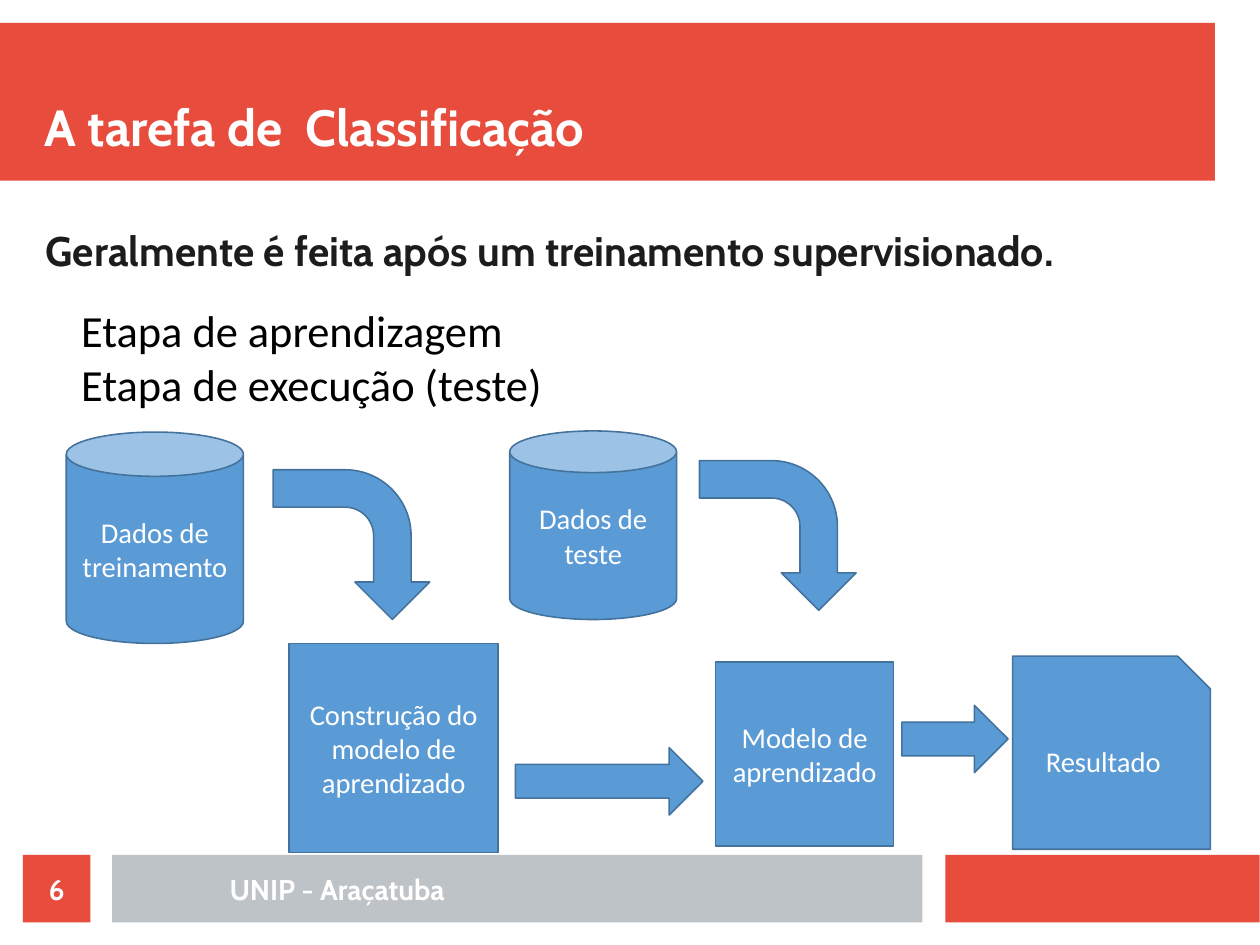
"""Build the slide that explains the classification task as a flow of stages."""
from dataclasses import dataclass

from lxml.etree import SubElement
from pptx import Presentation
from pptx.dml.color import RGBColor
from pptx.enum.shapes import MSO_SHAPE as Preset
from pptx.enum.text import MSO_ANCHOR as Anchor, MSO_AUTO_SIZE as AutoSize, PP_ALIGN as Align
from pptx.oxml.ns import qn
from pptx.util import Inches, Pt


@dataclass(frozen=True)
class Theme:
    red: str = "E74C3C"
    grey: str = "BDC3C7"
    blue: str = "5B9BD5"
    outline: str = "43729D"
    white: str = "FFFFFF"
    ink: str = "1C1C1C"
    black: str = "000000"
    heading_font: str = "Cabin"
    text_font: str = "Calibri"
    title_size: float = 32
    lead_size: float = 26
    stage_size: float = 28
    label_size: float = 18


@dataclass(frozen=True)
class Block:
    preset: Preset
    left: float
    top: float
    width: float
    height: float
    label: str = ""
    adjustments: tuple = ()
    rotation: float = 0
    fill: str = Theme.blue
    outline: str = Theme.outline


THEME = Theme()
MM_PER_INCH = 25.4
BEND = (0.25, 0.25, 0.25, 0.44)
FOOTER_TOP, FOOTER_HEIGHT = 7.48, 0.59


def band(left: float, top: float, width: float, height: float, fill: str) -> Block:
    return Block(Preset.RECTANGLE, left, top, width, height, fill=fill, outline="")


BANDS = (
    band(0, 0.2, 10.63, 1.38, THEME.red),
    band(8.27, FOOTER_TOP, 2.75, FOOTER_HEIGHT, THEME.red),
    band(0.98, FOOTER_TOP, 7.09, FOOTER_HEIGHT, THEME.grey),
)
FLOW = (
    Block(Preset.RECTANGLE, 2.53, 5.63, 1.83, 1.83, "Construção do modelo de aprendizado"),
    Block(Preset.CAN, 0.58, 3.78, 1.55, 1.85, "Dados de treinamento", (0.25,)),
    Block(Preset.CAN, 4.46, 3.77, 1.46, 1.65, "Dados de teste", (0.25,)),
    Block(Preset.RECTANGLE, 6.26, 5.79, 1.56, 1.61, "Modelo de aprendizado"),
    Block(Preset.BENT_ARROW, 2.42, 4.08, 1.31, 1.37, adjustments=BEND, rotation=90),
    Block(Preset.BENT_ARROW, 6.15, 4, 1.31, 1.37, adjustments=BEND, rotation=90),
    Block(Preset.RIGHT_ARROW, 4.51, 6.54, 1.64, 0.59),
    Block(Preset.RIGHT_ARROW, 7.89, 6.17, 0.93, 0.59),
    Block(Preset.SNIP_1_RECTANGLE, 8.86, 5.74, 1.73, 1.69, "Resultado", (0.17,)),
)


def place(shape, left: float, top: float, width: float, height: float) -> None:
    shape.left, shape.top = Inches(left), Inches(top)
    shape.width, shape.height = Inches(width), Inches(height)


def prepare_frame(frame, anchor: Anchor, side: float = 0, edge: float = 0) -> None:
    frame.word_wrap = True
    frame.auto_size = AutoSize.NONE
    frame.vertical_anchor = anchor
    frame.margin_left = frame.margin_right = Inches(side)
    frame.margin_top = frame.margin_bottom = Inches(edge)


def write(paragraph, text: str, *, size: float, font: str = THEME.heading_font,
          color: str = THEME.white, bold: bool = True, align: Align = Align.LEFT,
          level: int = 0, indent: float = 0, before: float = 0, after: float = 0,
          spacing: float = 1.0) -> None:
    properties = paragraph._p.get_or_add_pPr()
    properties.set("marL", str(Inches(indent)))
    properties.set("indent", "0")
    SubElement(properties, qn("a:buNone"))
    paragraph.level, paragraph.alignment = level, align
    paragraph.space_before, paragraph.space_after = Pt(before), Pt(after)
    paragraph.line_spacing = spacing
    run = paragraph.add_run()
    run.text = text
    run.font.name, run.font.size, run.font.bold = font, Pt(size), bold
    run.font.color.rgb = RGBColor.from_string(color)


def draw(slide, block: Block):
    shape = slide.shapes.add_shape(block.preset, Inches(block.left), Inches(block.top),
                                   Inches(block.width), Inches(block.height))
    shape.shadow.inherit = False
    shape.rotation = block.rotation
    for index, value in enumerate(block.adjustments):
        shape.adjustments[index] = value
    shape.fill.solid()
    shape.fill.fore_color.rgb = RGBColor.from_string(block.fill)
    if block.outline:
        shape.line.color.rgb = RGBColor.from_string(block.outline)
        shape.line.width = Pt(1)
    else:
        shape.line.fill.background()
    if block.label:
        prepare_frame(shape.text_frame, Anchor.MIDDLE, side=0.1, edge=0.05)
        write(shape.text_frame.paragraphs[0], block.label, size=THEME.label_size,
              font=THEME.text_font, bold=False, align=Align.CENTER)
    return shape


def fill_title(title) -> None:
    place(title, 0.39, 0.39, 10.24, 0.98)
    prepare_frame(title.text_frame, Anchor.BOTTOM)
    write(title.text_frame.paragraphs[0], "A tarefa de  Classificação", size=THEME.title_size)


def fill_body(body) -> None:
    place(body, 0.4, 1.97, 10.04, 5.12)
    frame = body.text_frame
    prepare_frame(frame, Anchor.TOP)
    write(frame.paragraphs[0], "Geralmente é feita após um treinamento supervisionado.",
          size=THEME.lead_size, color=THEME.ink, after=11.4)
    stage = dict(size=THEME.stage_size, font=THEME.text_font, color=THEME.black,
                 bold=False, level=1, indent=0.31)
    write(frame.add_paragraph(), "Etapa de aprendizagem", before=10, spacing=0.9, **stage)
    write(frame.add_paragraph(), "Etapa de execução (teste)", after=11.3, **stage)


def add_footer(slide) -> None:
    institution = slide.shapes.add_textbox(Inches(1.18), Inches(FOOTER_TOP),
                                           Inches(3.54), Inches(FOOTER_HEIGHT))
    number = draw(slide, band(0.2, FOOTER_TOP, 0.59, FOOTER_HEIGHT, THEME.red))
    for holder, text in ((institution, "UNIP - Araçatuba"), (number, "6")):
        prepare_frame(holder.text_frame, Anchor.MIDDLE)
        write(holder.text_frame.paragraphs[0], text, size=THEME.label_size, align=Align.CENTER)


def main() -> None:
    deck = Presentation()
    deck.slide_width = Inches(280 / MM_PER_INCH)
    deck.slide_height = Inches(210 / MM_PER_INCH)
    slide = deck.slides.add_slide(deck.slide_layouts[1])
    title, body = slide.shapes.title, slide.placeholders[1]
    for strip in BANDS:
        draw(slide, strip)
    for placeholder in (title, body):
        slide.shapes.element.append(placeholder.element)
    fill_title(title)
    fill_body(body)
    for block in FLOW:
        draw(slide, block)
    add_footer(slide)
    deck.save("out.pptx")


if __name__ == "__main__":
    main()
